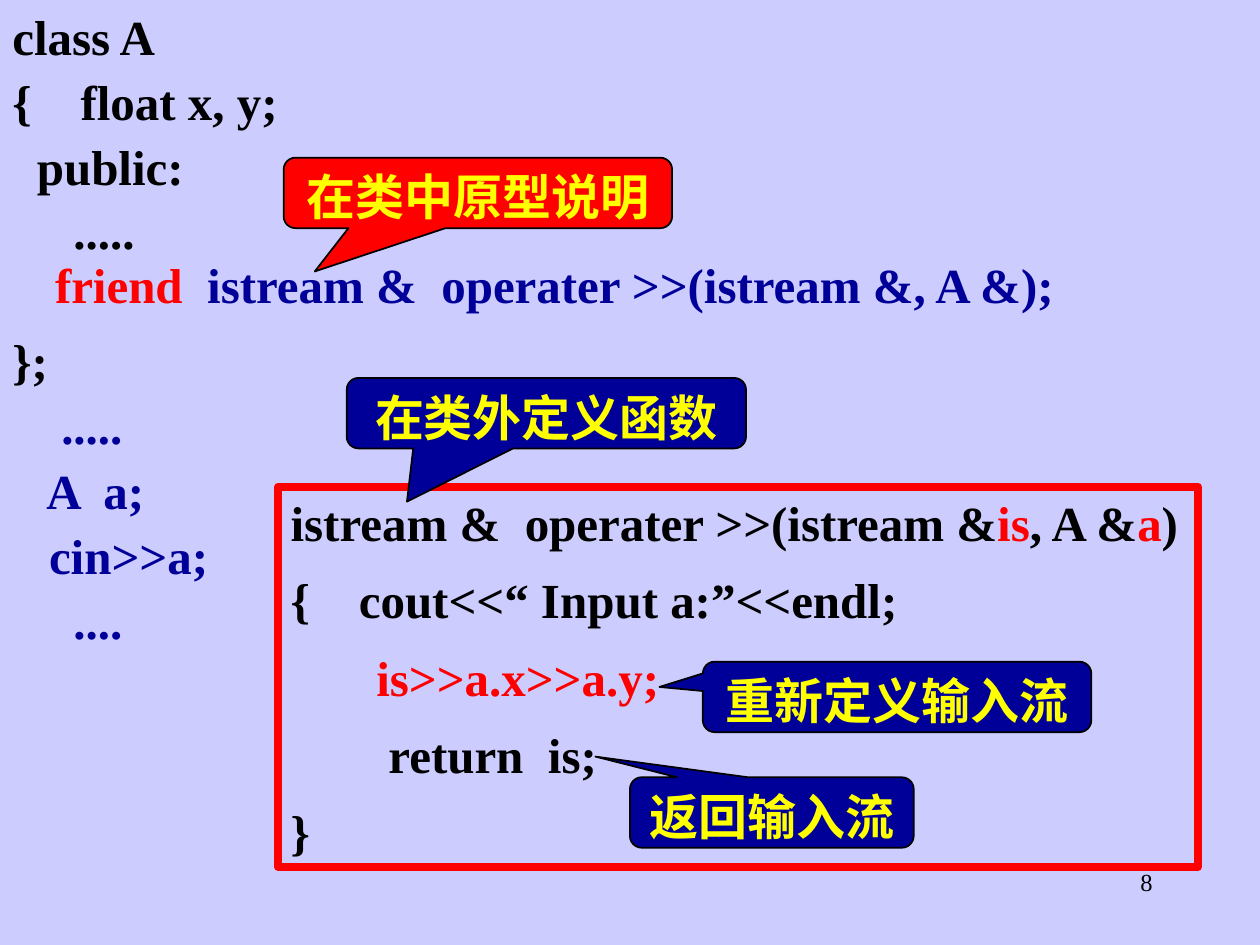
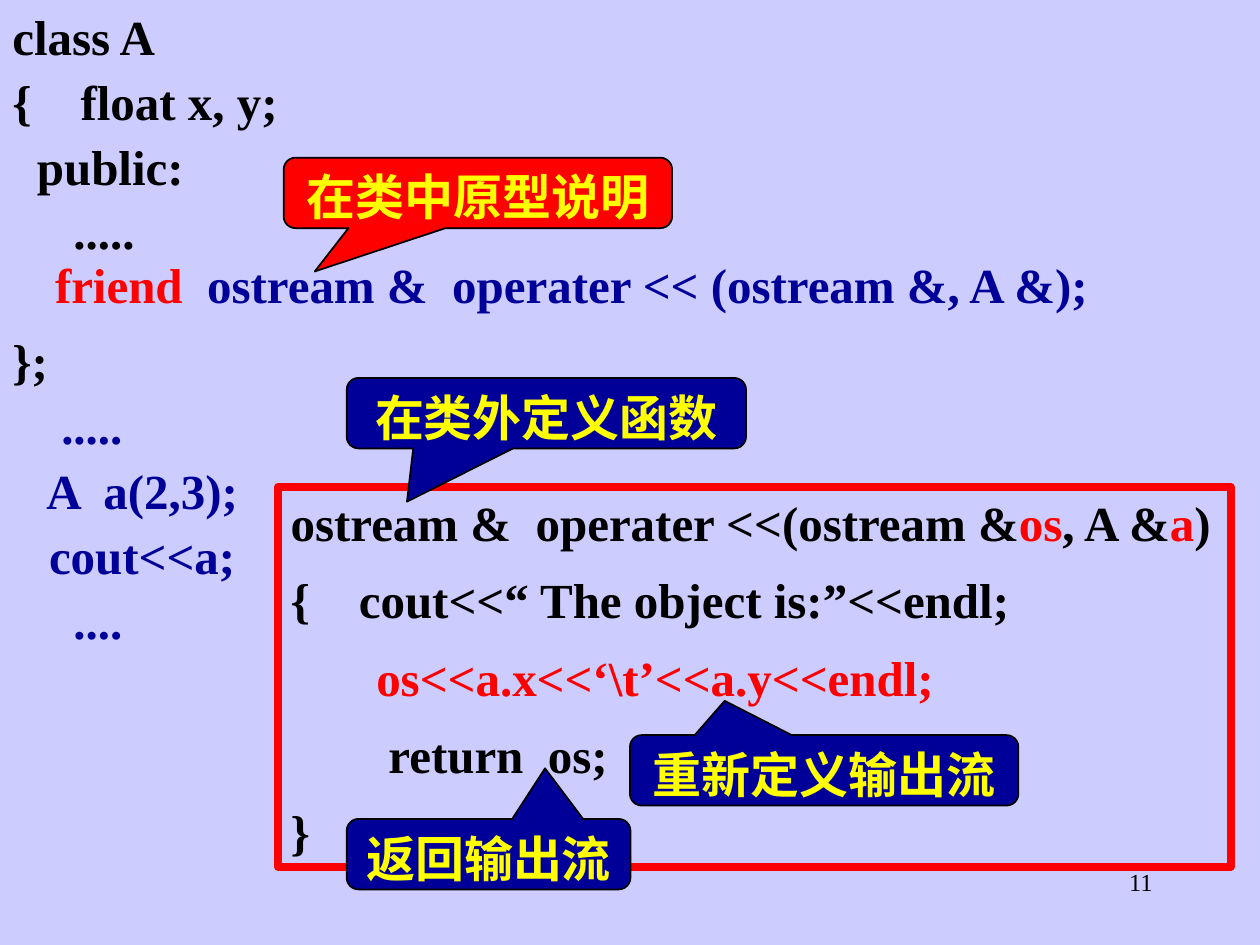
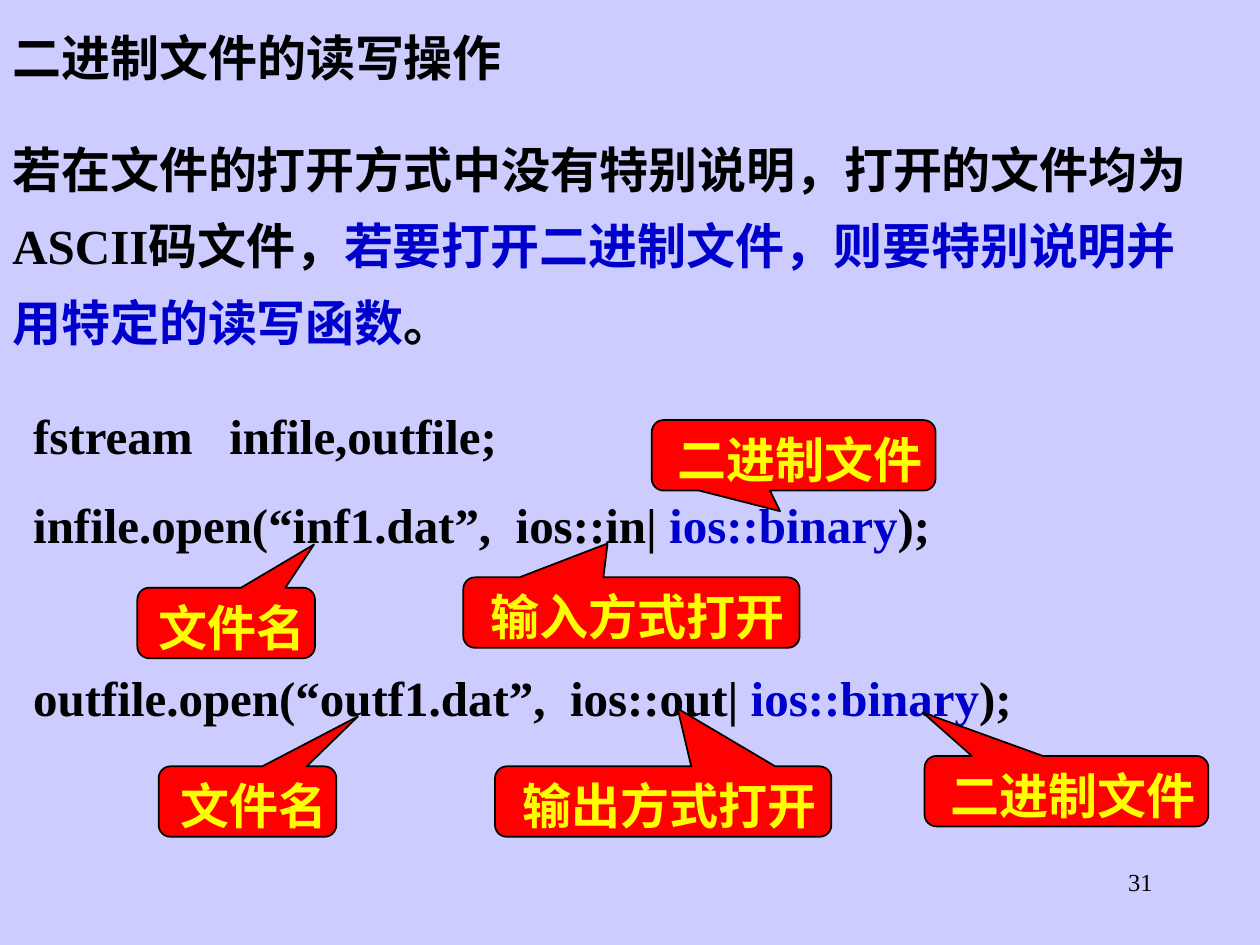
from pptx import Presentation
from pptx.dml.color import RGBColor
from pptx.enum.shapes import MSO_SHAPE
from pptx.enum.text import MSO_ANCHOR, MSO_AUTO_SIZE, PP_ALIGN
from pptx.util import Cm, Pt

LAVENDER = RGBColor(0xCC, 0xCC, 0xFF)
BLACK = RGBColor(0, 0, 0)
RED = RGBColor(0xFF, 0, 0)
NAVY = RGBColor(0, 0, 0x99)
BLUE = RGBColor(0, 0, 0xCC)
YELLOW = RGBColor(0xFF, 0xFF, 0)

CALLOUT, RECTANGLE = MSO_SHAPE.ROUNDED_RECTANGULAR_CALLOUT, MSO_SHAPE.RECTANGLE
TOP, NO_AUTOFIT = MSO_ANCHOR.TOP, MSO_AUTO_SIZE.NONE
LEFT, CENTER, RIGHT = PP_ALIGN.LEFT, PP_ALIGN.CENTER, PP_ALIGN.RIGHT

FONT = "Times New Roman"
TITLE_ONLY, BLANK = 5, 6
CODE_SIZE, NUMBER_SIZE = 28, 14
CLASS_GAP, FUNCTION_GAP, STATEMENT_GAP = 3.5, 10.5, 17.5
FRIEND_LINE_GAP = 40.6
CALLOUT_HEIGHT = 1.42
CALLOUT_INSET, LABEL_SHIFT = 0.05, 0.25

SHARED_CALLOUTS = [
    ("在类中原型说明", RED, 5.72, 3.18, 7.83, (-0.42, 1.115)),
    ("在类外定义函数", NAVY, 6.99, 7.62, 8.05, (-0.349, 1.257)),
]

OPERATOR_SLIDES = [
    {
        "number": 8,
        "usage": ["   A  a;", "   cin>>a;"],
        "friend": "  istream &  operater >>(istream &, A &);",
        "friend_width": 20.8,
        "header": "istream &  operater >>(istream &",
        "stream": "is",
        "prompt": "{    cout<<“ Input a:”<<endl;",
        "transfer": "is>>a.x>>a.y;",
        "frame_width": 18.54,
        "callouts": [
            ("重新定义输入流", NAVY, 14.17, 13.34, 7.83, (-0.612, -0.141)),
            ("返回输入流", NAVY, 12.7, 15.67, 5.72, (-0.622, -0.794)),
        ],
    },
    {
        "number": 11,
        "usage": ["   A  a(2,3);", "   cout<<a;"],
        "friend": "  ostream &  operater << (ostream &, A &);",
        "friend_width": 21.49,
        "header": "ostream &  operater <<(ostream &",
        "stream": "os",
        "prompt": "{    cout<<“ The object is:”<<endl;",
        "transfer": "os<<a.x<<‘\\t’<<a.y<<endl;",
        "frame_width": 19.2,
        "callouts": [
            ("重新定义输出流", NAVY, 12.7, 14.82, 7.83, (-0.256, -0.987)),
            ("返回输出流", NAVY, 6.99, 16.51, 5.72, (0.199, -1.219)),
        ],
    },
]

BINARY_NUMBER = 31
BINARY_TITLE = "二进制文件的读写操作"
BINARY_RULE = [
    ("若在文件的打开方式中没有特别说明，打开的文件均为ASCII码文件，", BLACK),
    ("若要打开二进制文件，则要特别说明并用特定的读写函数", BLUE),
    ("。", BLACK),
]
BINARY_FLAG = [("ios::binary", BLUE), (");", BLACK)]
OPEN_INPUT = [
    [("fstream   infile,outfile;", BLACK)],
    [("infile.open(“inf1.dat”,  ios::in| ", BLACK)] + BINARY_FLAG,
]
OPEN_OUTPUT = [[("outfile.open(“outf1.dat”,  ios::out| ", BLACK)] + BINARY_FLAG]
BINARY_CALLOUTS = [
    ("文件名", RED, 2.77, 11.85, 3.58, (0.495, -1.116)),
    ("输入方式打开", RED, 9.34, 11.64, 6.78, (-0.071, -0.981)),
    ("二进制文件", RED, 13.14, 8.47, 5.72, (-0.048, 0.793)),
    ("文件名", RED, 3.2, 15.45, 3.58, (0.622, -1.209)),
    ("输出方式打开", RED, 9.98, 15.45, 6.78, (0.043, -1.321)),
    ("二进制文件", RED, 18.64, 15.24, 5.72, (-0.507, -1.118)),
]


def write(shape, lines, gap=0, spacing=None, align=LEFT, size=CODE_SIZE, bold=True, wrap=True):
    frame = shape.text_frame
    frame.word_wrap = wrap
    frame.auto_size = NO_AUTOFIT
    frame.vertical_anchor = TOP
    for index, spans in enumerate(lines):
        para = frame.add_paragraph() if index else frame.paragraphs[0]
        para.alignment = align
        para.space_before = Pt(gap if index else 0)
        if spacing:
            para.line_spacing = spacing
        para.font.name = FONT
        para.font.size = Pt(size)
        para.font.bold = bold
        for text, color in spans:
            span = para.add_run()
            span.text = text
            span.font.color.rgb = color
    return frame


def add_text(page, place, lines, **style):
    box = page.shapes.add_textbox(*map(Cm, place))
    return write(box, lines, **style)


def add_callout(page, label, fill, left, top, width, tip, shift=0):
    box = page.shapes.add_shape(CALLOUT, Cm(left), Cm(top), Cm(width), Cm(CALLOUT_HEIGHT))
    box.shadow.inherit = False
    box.adjustments[0], box.adjustments[1] = tip
    box.fill.solid()
    box.fill.fore_color.rgb = fill
    box.line.color.rgb = BLACK
    box.line.width = Pt(1)
    frame = write(box, [[(label, YELLOW)]], spacing=1.1, align=CENTER)
    frame.margin_left = Cm(CALLOUT_INSET + shift)
    frame.margin_right = Cm(CALLOUT_INSET)
    frame.margin_top = frame.margin_bottom = 0


def add_page(deck, layout, number):
    page = deck.slides.add_slide(deck.slide_layouts[layout])
    add_text(page, (18.2, 17.36, 5.29, 1.27), [[(str(number), BLACK)]],
             align=RIGHT, size=NUMBER_SIZE, bold=False)
    return page


def add_operator_page(deck, content):
    page = add_page(deck, BLANK, content["number"])

    declaration = ["class A", "{    float x, y;", "  public:", "     .....", "};"]
    usage = ["    .....", *content["usage"], "     ...."]
    class_lines = [[(line, BLACK)] for line in declaration]
    class_lines += [[(line, NAVY)] for line in usage]
    frame = add_text(page, (0, 0, 7.83, 13.23), class_lines, gap=CLASS_GAP)
    closing_brace = frame.paragraphs[len(declaration) - 1]
    closing_brace.space_before = Pt(FRIEND_LINE_GAP)

    add_text(page, (0.86, 4.65, content["friend_width"], 1.8),
             [[("friend", RED), (content["friend"], NAVY)]], spacing=1.3, wrap=False)

    function_lines = [
        [(content["header"], BLACK), (content["stream"], RED),
         (", A &", BLACK), ("a", RED), (")", BLACK)],
        [(content["prompt"], BLACK)],
        [("       " + content["transfer"], RED)],
        [(f"        return  {content['stream']};", BLACK)],
        [("}", BLACK)],
    ]
    function_box = page.shapes.add_shape(
        RECTANGLE, Cm(5.61), Cm(9.81), Cm(content["frame_width"]), Cm(7.67))
    function_box.shadow.inherit = False
    function_box.fill.background()
    function_box.line.color.rgb = RED
    function_box.line.width = Pt(4.5)
    write(function_box, function_lines, gap=FUNCTION_GAP, wrap=False)

    for callout in SHARED_CALLOUTS + content["callouts"]:
        add_callout(page, *callout)


def add_binary_page(deck):
    page = add_page(deck, TITLE_ONLY, BINARY_NUMBER)
    title = page.shapes.title
    title.left, title.top, title.width, title.height = map(Cm, (0, 0.42, 24.77, 1.44))
    write(title, [[(BINARY_TITLE, BLACK)]])
    add_text(page, (0, 2.33, 24.77, 4.87), [BINARY_RULE], spacing=1.3)
    add_text(page, (0.42, 8.05, 22.86, 3.24), OPEN_INPUT, gap=STATEMENT_GAP + 17.5 - STATEMENT_GAP)
    add_text(page, (0.42, 13.34, 22.86, 1.44), OPEN_OUTPUT)
    for callout in BINARY_CALLOUTS:
        add_callout(page, *callout, shift=LABEL_SHIFT)


def main():
    deck = Presentation()
    deck.slide_width, deck.slide_height = Cm(25.4), Cm(19.05)
    background = deck.slide_master.background.fill
    background.solid()
    background.fore_color.rgb = LAVENDER
    for content in OPERATOR_SLIDES:
        add_operator_page(deck, content)
    add_binary_page(deck)
    deck.save("out.pptx")


if __name__ == "__main__":
    main()
